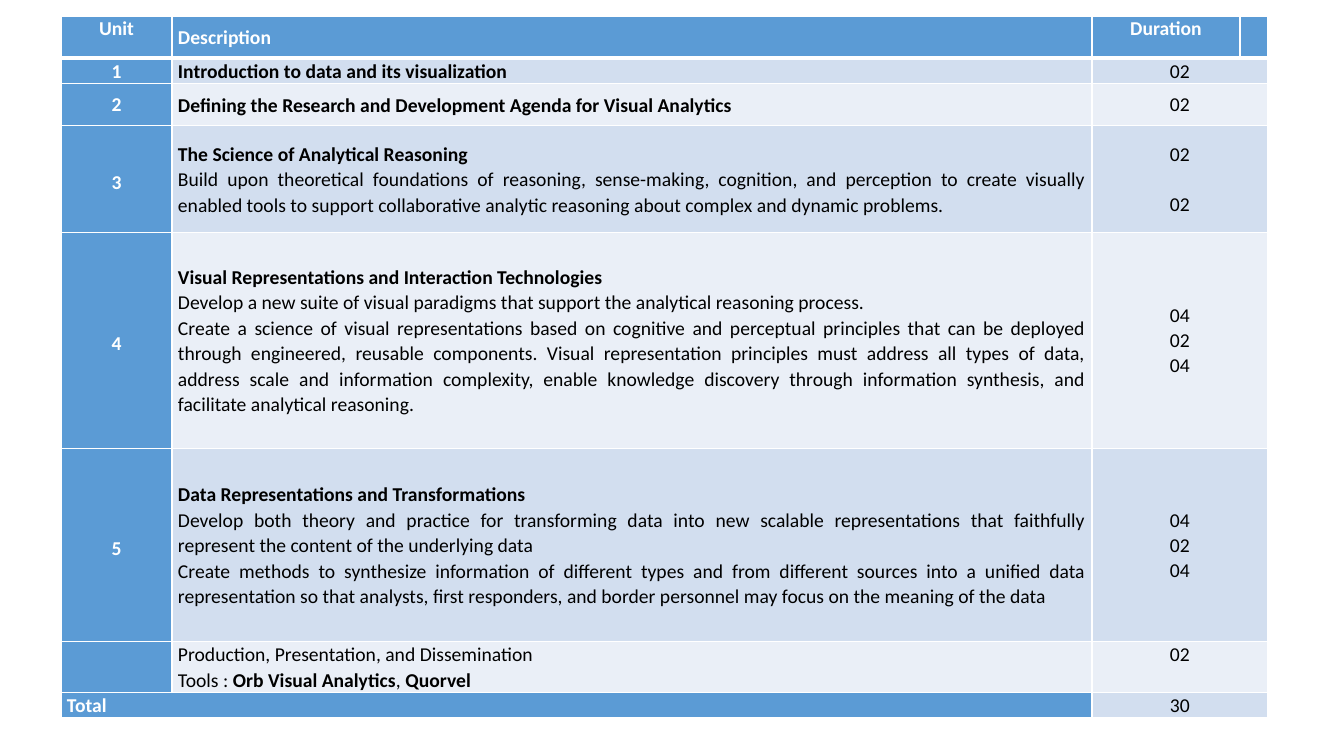
import dataclasses

import lxml.etree
import pptx
import pptx.dml.color
import pptx.enum.text
import pptx.oxml.ns
import pptx.util

ALIGN = pptx.enum.text.PP_ALIGN
ANCHOR = pptx.enum.text.MSO_ANCHOR
PIXEL = 914400 / 100.8


@dataclasses.dataclass(frozen=True)
class Theme:
    """Colours, font, type size and rule widths of the slide."""
    accent: str = "5B9BD5"
    bands: tuple = ("D2DEEF", "EAEFF7")
    light: str = "FFFFFF"
    dark: str = "000000"
    font: str = "Calibri"
    size: int = 14
    thin: int = 1
    thick: int = 3


THEME = Theme()
PAGE_SIZE = (1344, 756)
TABLE_BOX = (61, 16, 1207, 701)
COLUMN_WIDTHS = (111, 920, 148, 28)
ROW_HEIGHTS = (42, 25, 42, 107, 216, 193, 51, 25)
INSET = 6
BLANK_LINE = 18

# Each unit: number, bold heading, plain lines, hours
UNITS = [
    ("1", "Introduction to data and its visualization", [], ["02"]),
    ("2", "Defining the Research and Development Agenda for Visual Analytics", [], ["02"]),
    ("3", "The Science of Analytical Reasoning", [
        "Build upon theoretical foundations of reasoning, sense-making, cognition, and "
        "perception to create visually enabled tools to support collaborative analytic "
        "reasoning about complex and dynamic problems.",
    ], ["02", "02"]),
    ("4", "Visual Representations and Interaction Technologies", [
        "Develop a new suite of visual paradigms that support the analytical reasoning process.",
        "Create a science of visual representations based on cognitive and perceptual "
        "principles that can be deployed through engineered, reusable components. Visual "
        "representation principles must address all types of data, address scale and "
        "information complexity, enable knowledge discovery through information synthesis, "
        "and facilitate analytical reasoning.",
    ], ["04", "02", "04"]),
    ("5", "Data Representations and Transformations", [
        "Develop both theory and practice for transforming data into new scalable "
        "representations that faithfully represent the content of the underlying data",
        "Create methods to synthesize information of different types and from different "
        "sources into a unified data representation so that analysts, first responders, "
        "and border personnel may focus on the meaning of the data",
    ], ["04", "02", "04"]),
]
TOOLS = [("Tools : ", False), ("Orb Visual Analytics", True), (", ", False), ("Quorvel", True)]


def px(length):
    """Turn pixels into EMU."""
    return pptx.util.Emu(round(length * PIXEL))


def rgb(value):
    """Turn a hex string into a colour."""
    return pptx.dml.color.RGBColor.from_string(value)


def add_borders(cell, top, bottom):
    """Rule a cell in the light colour, with the given top and bottom widths."""
    properties = cell._tc.get_or_add_tcPr()
    sides = [("a:lnL", THEME.thin), ("a:lnR", THEME.thin), ("a:lnT", top), ("a:lnB", bottom)]
    for tag, width in sides:
        line = lxml.etree.SubElement(properties, pptx.oxml.ns.qn(tag), w=str(pptx.util.Pt(width)))
        fill = lxml.etree.SubElement(line, pptx.oxml.ns.qn("a:solidFill"))
        lxml.etree.SubElement(fill, pptx.oxml.ns.qn("a:srgbClr"), val=THEME.light)


def write_cell(cell, lines, color=THEME.dark, align=ALIGN.CENTER, anchor=ANCHOR.MIDDLE, spacing=1.05):
    """Fill a cell with lines, each a list of (text, bold) spans."""
    cell.vertical_anchor = anchor
    for index, spans in enumerate(lines):
        frame = cell.text_frame
        para = frame.add_paragraph() if index else frame.paragraphs[0]
        para.alignment = align
        para.line_spacing = spacing
        para.font.name = THEME.font
        para.font.size = pptx.util.Pt(THEME.size)
        para.font.color.rgb = rgb(color)
        para.font.bold = spans[0][1]
        for text, bold in spans:
            span = para.add_run()
            span.text = text
            if bold != spans[0][1]:
                span.font.bold = bold


def paint_grid(table):
    """Set sizes, insets, borders and fills, and merge the duration columns."""
    for column, width in zip(table.columns, COLUMN_WIDTHS):
        column.width = px(width)
    for index, (row, height) in enumerate(zip(table.rows, ROW_HEIGHTS)):
        row.height = px(height)
        band = THEME.bands[(index - 1) % 2]
        top = THEME.thick if index == 1 else THEME.thin
        bottom = THEME.thick if index == 0 else THEME.thin
        for position, cell in enumerate(row.cells):
            cell.margin_left = cell.margin_right = px(INSET)
            cell.margin_top = cell.margin_bottom = 0
            add_borders(cell, top, bottom)
            cell.fill.solid()
            cell.fill.fore_color.rgb = rgb(THEME.accent if index == 0 or position == 0 else band)
        if index:
            table.cell(index, 2).merge(table.cell(index, 3))


def write_header(table):
    """Write the column headings."""
    headings = [("Unit", ALIGN.CENTER, ANCHOR.TOP), ("Description", ALIGN.JUSTIFY, ANCHOR.MIDDLE),
                ("Duration", ALIGN.CENTER, ANCHOR.TOP)]
    for column, (text, align, anchor) in enumerate(headings):
        write_cell(table.cell(0, column), [[(text, True)]], THEME.light, align, anchor)


def write_units(table):
    """Write the numbered units, one to a row."""
    for row, (number, heading, details, hours) in enumerate(UNITS, 1):
        write_cell(table.cell(row, 0), [[(number, True)]], THEME.light,
                   spacing=1.3 if details else 1.05)
        lines = [[(heading, True)]] + [[(text, False)] for text in details]
        write_cell(table.cell(row, 1), lines, align=ALIGN.JUSTIFY, spacing=1.07)
        write_cell(table.cell(row, 2), [[(hour, False)] for hour in hours])
        if len(hours) == 2:
            paras = table.cell(row, 2).text_frame.paragraphs
            paras[1].space_before = pptx.util.Pt(BLANK_LINE)


def write_closing(table):
    """Write the production row and the total row."""
    production, total = len(UNITS) + 1, len(UNITS) + 2
    lines = [[("Production, Presentation, and Dissemination", False)], TOOLS]
    write_cell(table.cell(production, 1), lines, align=ALIGN.JUSTIFY, spacing=1.07)
    write_cell(table.cell(production, 2), [[("02", False)]], anchor=ANCHOR.TOP)
    table.cell(total, 0).merge(table.cell(total, 1))
    write_cell(table.cell(total, 0), [[("Total", True)]], THEME.light, ALIGN.LEFT, ANCHOR.TOP)
    write_cell(table.cell(total, 2), [[("30", False)]], anchor=ANCHOR.TOP)


def add_syllabus(page, box):
    """Place the syllabus table in the given box."""
    frame = page.shapes.add_table(len(ROW_HEIGHTS), len(COLUMN_WIDTHS), *map(px, box))
    table = frame.table
    table.first_col = True
    paint_grid(table)
    write_header(table)
    write_units(table)
    write_closing(table)


def main():
    """Build and save the deck."""
    deck = pptx.Presentation()
    deck.slide_width, deck.slide_height = map(px, PAGE_SIZE)
    page = deck.slides.add_slide(deck.slide_layouts[6])
    add_syllabus(page, TABLE_BOX)
    deck.save("out.pptx")


main()
